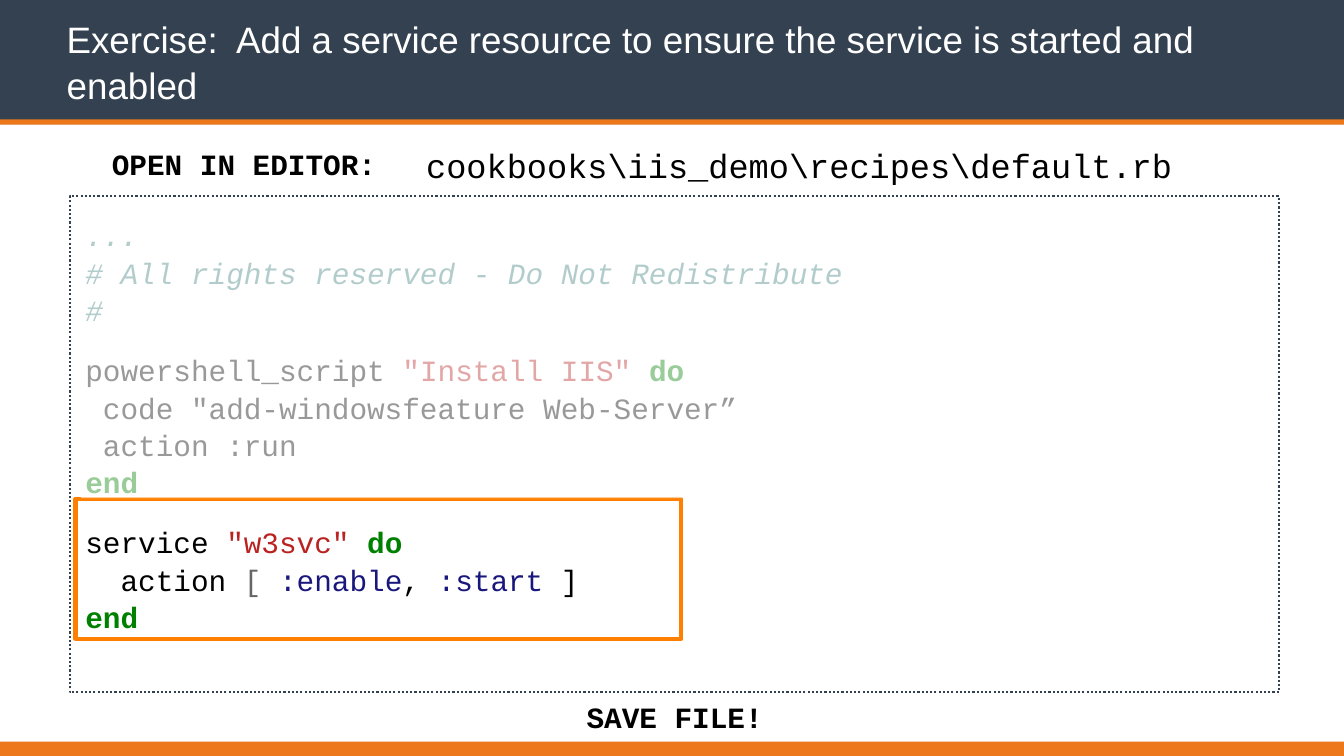
from lxml.etree import SubElement
from pptx import Presentation
from pptx.dml.color import RGBColor
from pptx.enum.dml import MSO_LINE
from pptx.enum.shapes import MSO_SHAPE
from pptx.enum.text import MSO_ANCHOR, PP_ALIGN
from pptx.oxml import parse_xml
from pptx.oxml.ns import nsdecls, qn
from pptx.util import Cm, Pt

SLIDE_WIDTH, SLIDE_HEIGHT = 45.16, 25.4
SLATE, ORANGE, WHITE, BLACK = "334150", "ED781C", "FFFFFF", "000000"
MONO = "Courier New"

PLAIN = {"color": BLACK}
COMMENT = {"color": "408080", "italic": True}
STRING = {"color": "BA2121"}
KEYWORD = {"color": "008000", "bold": True}
BRACKET = {"color": "666666"}
SYMBOL = {"color": "19177C"}

CODE_BLOCKS = [
    [
        [("...", COMMENT)],
        [("# All rights reserved - Do Not Redistribute", COMMENT)],
        [("#", COMMENT)],
    ],
    [
        [("powershell_script ", PLAIN), ('"Install IIS" ', STRING), ("do", KEYWORD)],
        [(' code "add-windowsfeature Web-Server”', PLAIN)],
        [(" action :run", PLAIN)],
        [("end", KEYWORD)],
    ],
    [
        [("service ", PLAIN), ('"w3svc" ', STRING), ("do", KEYWORD)],
        [("  action ", PLAIN), ("[ ", BRACKET), (":enable", SYMBOL),
         (", ", PLAIN), (":start", SYMBOL), (" ]", PLAIN)],
        [("end", KEYWORD)],
    ],
]


def rgb(color):
    return RGBColor.from_string(color)


def set_font(font, color, **values):
    font.color.rgb = rgb(color)
    for name, value in values.items():
        setattr(font, name, value)


def add_rectangle(slide, box, fill=None, opacity=None, line=None):
    """Opacity is a percentage; line is a dict of LineFormat values plus color."""
    shape = slide.shapes.add_shape(MSO_SHAPE.RECTANGLE, *map(Cm, box))
    shape.shadow.inherit = False
    if fill:
        shape.fill.solid()
        shape.fill.fore_color.rgb = rgb(fill)
    else:
        shape.fill.background()
    if opacity:
        color = shape.fill._xPr.find(qn("a:solidFill"))[0]
        SubElement(color, qn("a:alpha"), val=str(opacity * 1000))
    if line:
        for name, value in line.items():
            if name == "color":
                shape.line.color.rgb = rgb(value)
            else:
                setattr(shape.line, name, value)
    else:
        shape.line.fill.background()


def add_text_frame(slide, box, margin=0, anchor=MSO_ANCHOR.MIDDLE):
    frame = slide.shapes.add_textbox(*map(Cm, box)).text_frame
    values = {"word_wrap": True, "vertical_anchor": anchor}
    for side in ("left", "top", "right", "bottom"):
        values[f"margin_{side}"] = Cm(margin)
    for name, value in values.items():
        setattr(frame, name, value)
    return frame


def add_label(slide, box, text, size, margin=0, align=PP_ALIGN.LEFT, bold=False):
    paragraph = add_text_frame(slide, box, margin).paragraphs[0]
    paragraph.alignment = align
    run = paragraph.add_run()
    run.text = text
    set_font(run.font, BLACK, name=MONO, size=Pt(size), bold=bold)


def add_title(slide, box, text):
    paragraph = add_text_frame(slide, box, anchor=MSO_ANCHOR.BOTTOM).paragraphs[0]
    paragraph.line_spacing = 1.04
    run = paragraph.add_run()
    run.text = text
    set_font(run.font, WHITE, name="Arial", size=Pt(35))
    shadow = parse_xml(
        f'<a:effectLst {nsdecls("a")}><a:outerShdw blurRad="38100" dist="38100" '
        'dir="2700000"><a:srgbClr val="000000"><a:alpha val="43000"/>'
        "</a:srgbClr></a:outerShdw></a:effectLst>"
    )
    run.font._rPr.find(qn("a:solidFill")).addnext(shadow)


def add_code(slide, box, blocks):
    """Blocks are lists of lines; a line is a list of (text, format) tokens."""
    frame = add_text_frame(slide, box, margin=0.53, anchor=MSO_ANCHOR.TOP)
    frame.margin_top = Cm(0.63)
    paragraph = frame.paragraphs[0]
    for block_index, block in enumerate(blocks):
        for line_index, line in enumerate(block):
            if block_index or line_index:
                paragraph = frame.add_paragraph()
            paragraph.line_spacing = 1.06
            if block_index and not line_index:
                paragraph.space_before = Pt(21.6)
            for text, values in line:
                run = paragraph.add_run()
                run.text = text
                set_font(run.font, name=MONO, size=Pt(28), **values)


def main():
    presentation = Presentation()
    presentation.slide_width = Cm(SLIDE_WIDTH)
    presentation.slide_height = Cm(SLIDE_HEIGHT)
    slide = presentation.slides.add_slide(presentation.slide_layouts[6])

    add_rectangle(slide, (0, 0, SLIDE_WIDTH, 4.17), SLATE)
    add_rectangle(slide, (0, 4.01, SLIDE_WIDTH, 0.18), ORANGE)
    add_rectangle(slide, (0, 24.92, SLIDE_WIDTH, 0.48), ORANGE)
    add_label(slide, (18.44, 23.5, 8.46, 1.19), "SAVE FILE!", 28,
              align=PP_ALIGN.CENTER, bold=True)

    dotted = {"color": SLATE, "width": Pt(2), "dash_style": MSO_LINE.ROUND_DOT}
    add_rectangle(slide, (2.34, 6.6, 40.64, 16.66), WHITE, line=dotted)
    add_code(slide, (2.34, 6.6, 40.64, 14.6), CODE_BLOCKS)
    add_title(slide, (2.24, 0.48, 40.72, 3.1),
              "Exercise:  Add a service resource to ensure the service is "
              "started and enabled")

    highlight = {"color": "FF7F00", "width": Pt(4)}
    add_rectangle(slide, (2.54, 16.76, 20.35, 4.7), line=highlight)
    add_rectangle(slide, (2.72, 7.11, 30.81, 9.63), WHITE, opacity=60)

    add_label(slide, (3.76, 4.9, 10, 1.19), "OPEN IN EDITOR:", 28, bold=True)
    add_label(slide, (14.02, 4.55, 30.5, 1.98),
              r"cookbooks\iis_demo\recipes\default.rb", 32, margin=0.3)

    presentation.save("out.pptx")


if __name__ == "__main__":
    main()
